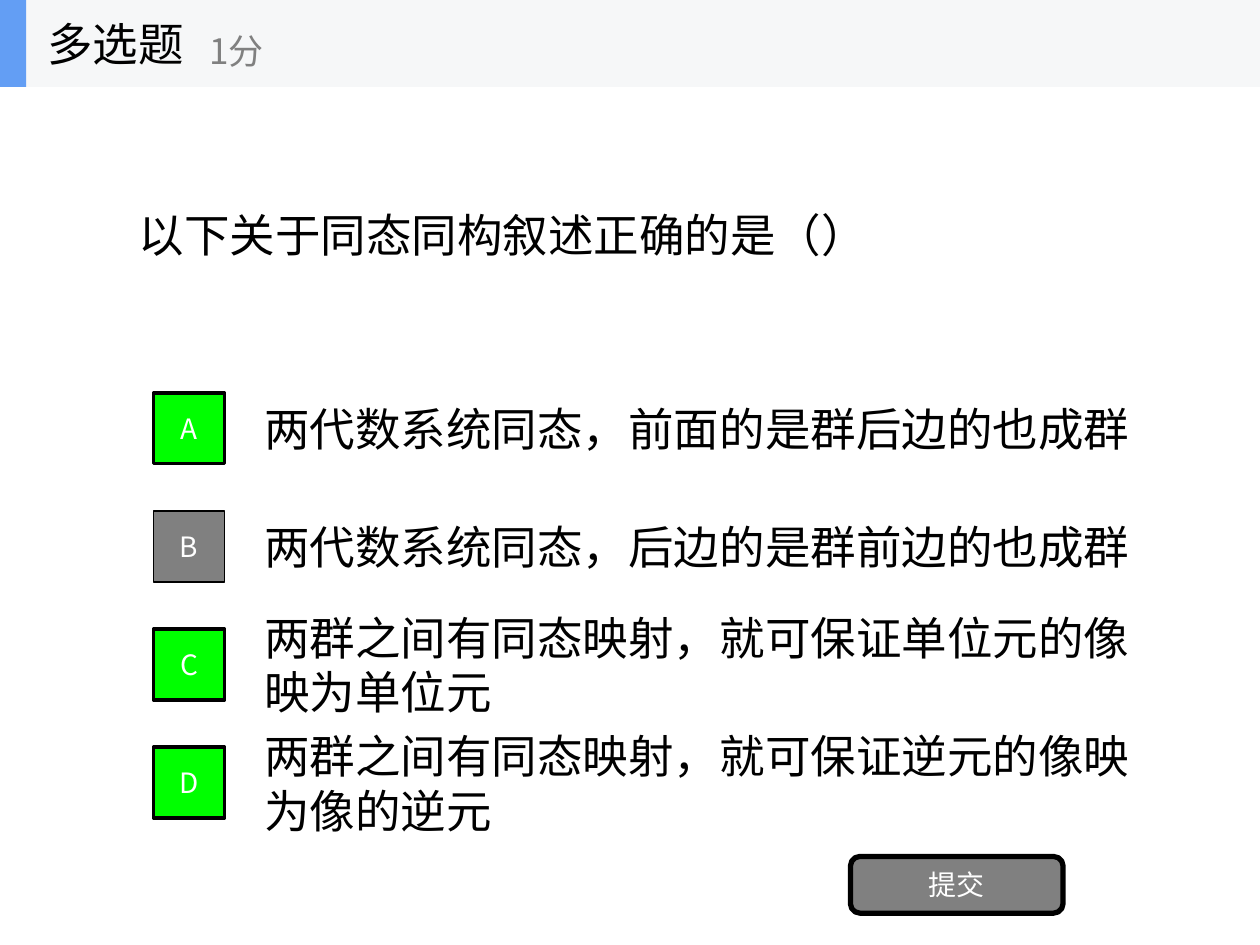
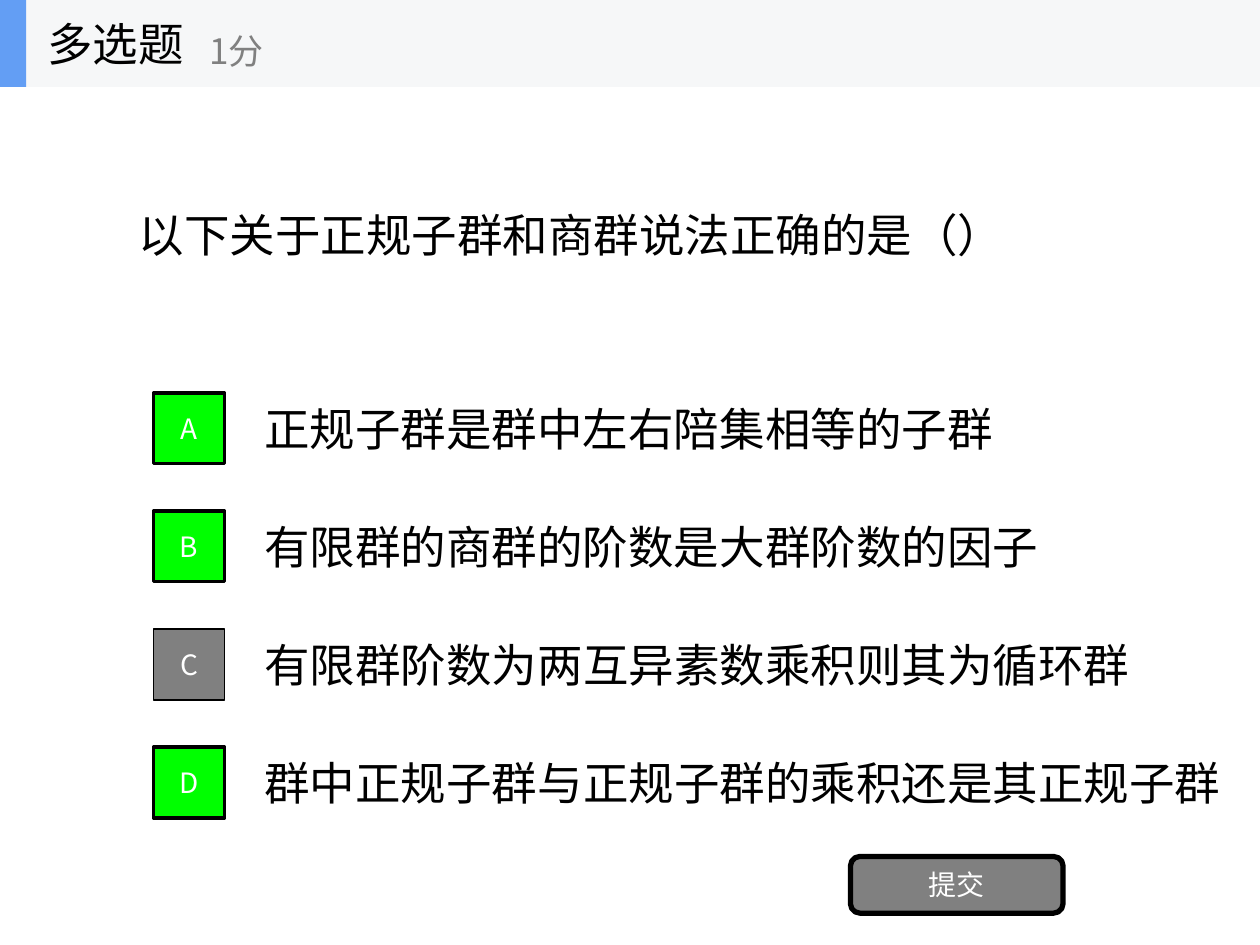
"""Builds two multiple-choice quiz slides."""
import pptx
import pptx.dml.color
import pptx.enum.shapes
import pptx.enum.text
import pptx.oxml.ns
import pptx.util

Pt = pptx.util.Pt
MSO = pptx.enum.shapes.MSO_SHAPE
ALIGN = pptx.enum.text.PP_ALIGN
FONT = "Noto Sans CJK SC"
BLACK, WHITE, GRAY, GREEN = "000000", "FFFFFF", "808080", "00FF00"
BAND, ACCENT = "F6F7F8", "639EF4"
ROW_TOP, ROW_PITCH, ROW_HEIGHT, BADGE = 219.4, 67.5, 50.6, 40.5

QUESTIONS = [
    ("以下关于同态同构叙述正确的是（）", "ACD", [
        ("两代数系统同态，前面的是群后边的也成群", 534),
        ("两代数系统同态，后边的是群前边的也成群", 520),
        ("两群之间有同态映射，就可保证单位元的像映为单位元", 509),
        ("两群之间有同态映射，就可保证逆元的像映为像的逆元", 520),
    ]),
    ("以下关于正规子群和商群说法正确的是（）", "ABD", [
        ("正规子群是群中左右陪集相等的子群", 504),
        ("有限群的商群的阶数是大群阶数的因子", 504),
        ("有限群阶数为两互异素数乘积则其为循环群", 538),
        ("群中正规子群与正规子群的乘积还是其正规子群", 566),
    ]),
]


def write(sp, text, size=26, color=BLACK, align=ALIGN.LEFT, wrap=True):
    tf = sp.text_frame
    tf.text = text
    tf.word_wrap = wrap
    tf.auto_size = pptx.enum.text.MSO_AUTO_SIZE.NONE
    tf.vertical_anchor = pptx.enum.text.MSO_ANCHOR.MIDDLE
    p = tf.paragraphs[0]
    p.alignment = align
    p.font.size = Pt(size)
    p.font.color.rgb = pptx.dml.color.RGBColor.from_string(color)
    p.font.name = FONT
    latin = p._p.find(".//" + pptx.oxml.ns.qn("a:latin"))
    ea = latin.makeelement(pptx.oxml.ns.qn("a:ea"), {"typeface": FONT})
    latin.addnext(ea)


def add_box(shapes, kind, x, y, w, h, fill, line=0):
    sp = shapes.add_shape(kind, Pt(x), Pt(y), Pt(w), Pt(h))
    sp.shadow.inherit = False
    sp.fill.solid()
    sp.fill.fore_color.rgb = pptx.dml.color.RGBColor.from_string(fill)
    if line:
        sp.line.color.rgb = pptx.dml.color.RGBColor.from_string(BLACK)
        sp.line.width = Pt(line)
    else:
        sp.line.fill.background()
    return sp


prs = pptx.Presentation()
prs.slide_width, prs.slide_height = Pt(720), Pt(540)

for question, correct, options in QUESTIONS:
    s = prs.slides.add_slide(prs.slide_layouts[5])
    title = s.shapes.title
    title.left, title.top, title.width, title.height = Pt(72), Pt(49.7), Pt(576), Pt(168.5)
    write(title, question)

    for i, (option, width) in enumerate(options):
        y = ROW_TOP + i * ROW_PITCH
        write(s.shapes.add_textbox(Pt(144), Pt(y), Pt(width), Pt(ROW_HEIGHT)), option)

    for i, letter in enumerate("ABCD"):
        y = ROW_TOP + i * ROW_PITCH + (ROW_HEIGHT - BADGE) / 2
        fill, line = (GREEN, 2) if letter in correct else (GRAY, 1)
        badge = add_box(s.shapes, MSO.RECTANGLE, 87.75, y, BADGE, BADGE, fill, line)
        write(badge, letter, 16, WHITE, ALIGN.CENTER)

    submit = add_box(s.shapes, MSO.ROUNDED_RECTANGLE, 486, 489.4, 121.5, 32.4, GRAY, 3)
    write(submit, "提交", 16, WHITE, ALIGN.CENTER)

    header = s.shapes.add_group_shape().shapes
    add_box(header, MSO.RECTANGLE, 0, 0, 720, 49.7, BAND)
    add_box(header, MSO.RECTANGLE, 0, 0, 15, 49.7, ACCENT)
    write(header.add_textbox(Pt(20), Pt(0), Pt(150), Pt(49.7)), "多选题", wrap=False)
    write(header.add_textbox(Pt(112.5), Pt(8.8), Pt(180), Pt(40.5)), "1分", 20, GRAY, wrap=False)

prs.save("out.pptx")
